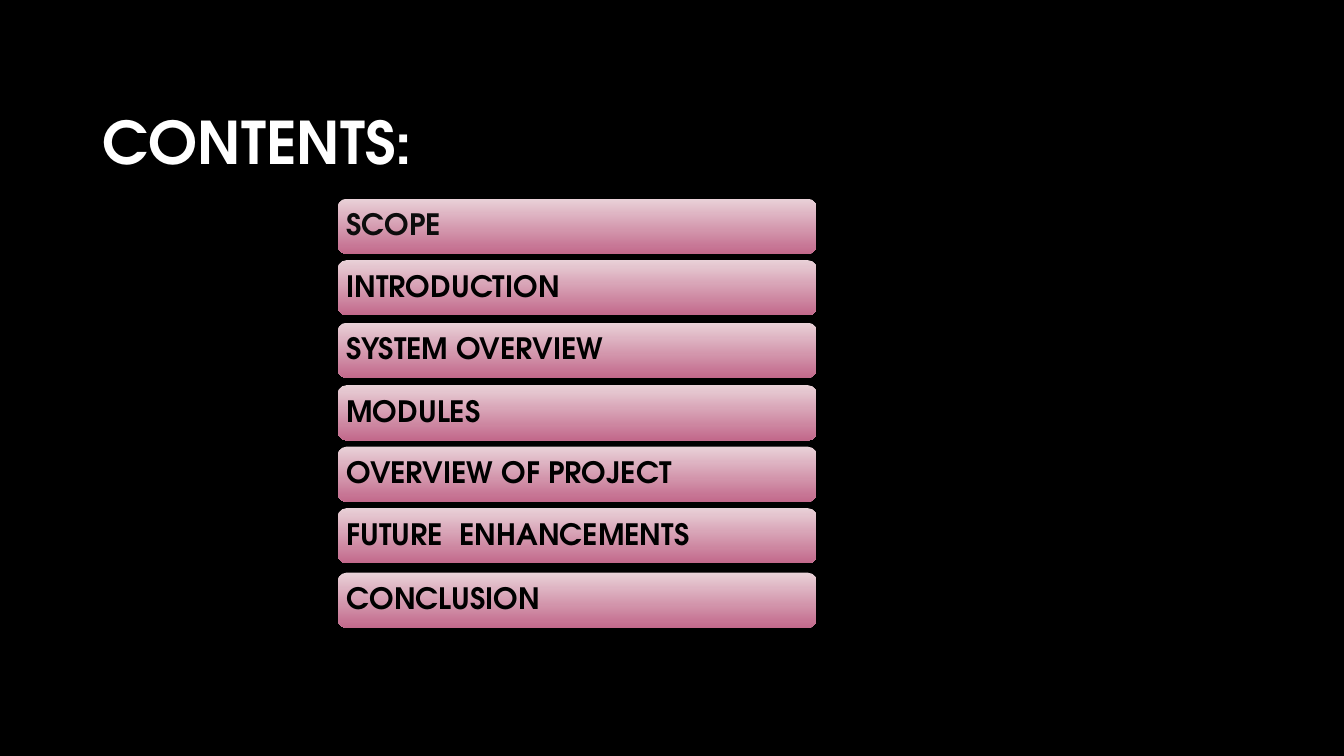
from pptx import Presentation
from pptx.dml.color import RGBColor
from pptx.enum.shapes import MSO_SHAPE
from pptx.enum.text import MSO_ANCHOR, PP_ALIGN
from pptx.util import Inches, Pt

ROUNDED = MSO_SHAPE.ROUNDED_RECTANGLE
TOP, MIDDLE = MSO_ANCHOR.TOP, MSO_ANCHOR.MIDDLE
LEFT = PP_ALIGN.LEFT

BLACK = RGBColor(0x00, 0x00, 0x00)
NEAR_BLACK = RGBColor(0x0D, 0x0D, 0x0D)
WHITE = RGBColor(0xFF, 0xFF, 0xFF)
PALE_PINK = RGBColor(0xE9, 0xD1, 0xD8)
ROSE = RGBColor(0xC2, 0x69, 0x8B)

FONT = "TeX Gyre Adventor"

# Each entry: label, top edge in inches, text colour
CONTENTS = [
    ("SCOPE", 1.97, NEAR_BLACK),
    ("INTRODUCTION", 2.58, BLACK),
    ("SYSTEM OVERVIEW", 3.2, BLACK),
    ("MODULES", 3.82, BLACK),
    ("OVERVIEW OF PROJECT", 4.43, BLACK),
    ("FUTURE  ENHANCEMENTS", 5.04, BLACK),
    ("CONCLUSION", 5.68, BLACK),
]


def write_text(frame, text, *, size, color, anchor=TOP, line_spacing=None):
    frame.word_wrap = True
    frame.vertical_anchor = anchor
    para = frame.paragraphs[0]
    para.alignment = LEFT
    para.line_spacing = line_spacing
    span = para.add_run()
    span.text = text
    span.font.name = FONT
    span.font.size = Pt(size)
    span.font.bold = True
    span.font.color.rgb = color


class ContentsSlide:
    def __init__(self, deck):
        self.slide = deck.slides.add_slide(deck.slide_layouts[6])
        background = self.slide.background.fill
        background.solid()
        background.fore_color.rgb = BLACK

    def title(self, text, left, top, width, height):
        box = self.slide.shapes.add_textbox(
            Inches(left), Inches(top), Inches(width), Inches(height))
        write_text(box.text_frame, text, size=42, color=WHITE)

    def bar(self, text, left, top, width, height, color):
        bar = self.slide.shapes.add_shape(
            ROUNDED, Inches(left), Inches(top), Inches(width), Inches(height))
        bar.shadow.inherit = False
        bar.line.fill.background()
        # Pale at the top, deeper at the bottom
        bar.fill.gradient()
        bar.fill.gradient_angle = 270
        for stop, shade in zip(bar.fill.gradient_stops, (PALE_PINK, ROSE)):
            stop.color.rgb = shade
        frame = bar.text_frame
        frame.margin_left = frame.margin_right = Inches(0.06)
        frame.margin_top = frame.margin_bottom = Inches(0.06)
        write_text(frame, text, size=21, color=color, anchor=MIDDLE,
                   line_spacing=0.9)


def main():
    deck = Presentation()
    deck.slide_width, deck.slide_height = Inches(13.33), Inches(7.5)
    page = ContentsSlide(deck)

    # Heading
    page.title("CONTENTS:", 0.92, 1, 6.55, 3.09)

    # Stack of topics
    for label, top, color in CONTENTS:
        page.bar(label, 3.35, top, 4.75, 0.55, color)

    deck.save("out.pptx")


if __name__ == "__main__":
    main()
